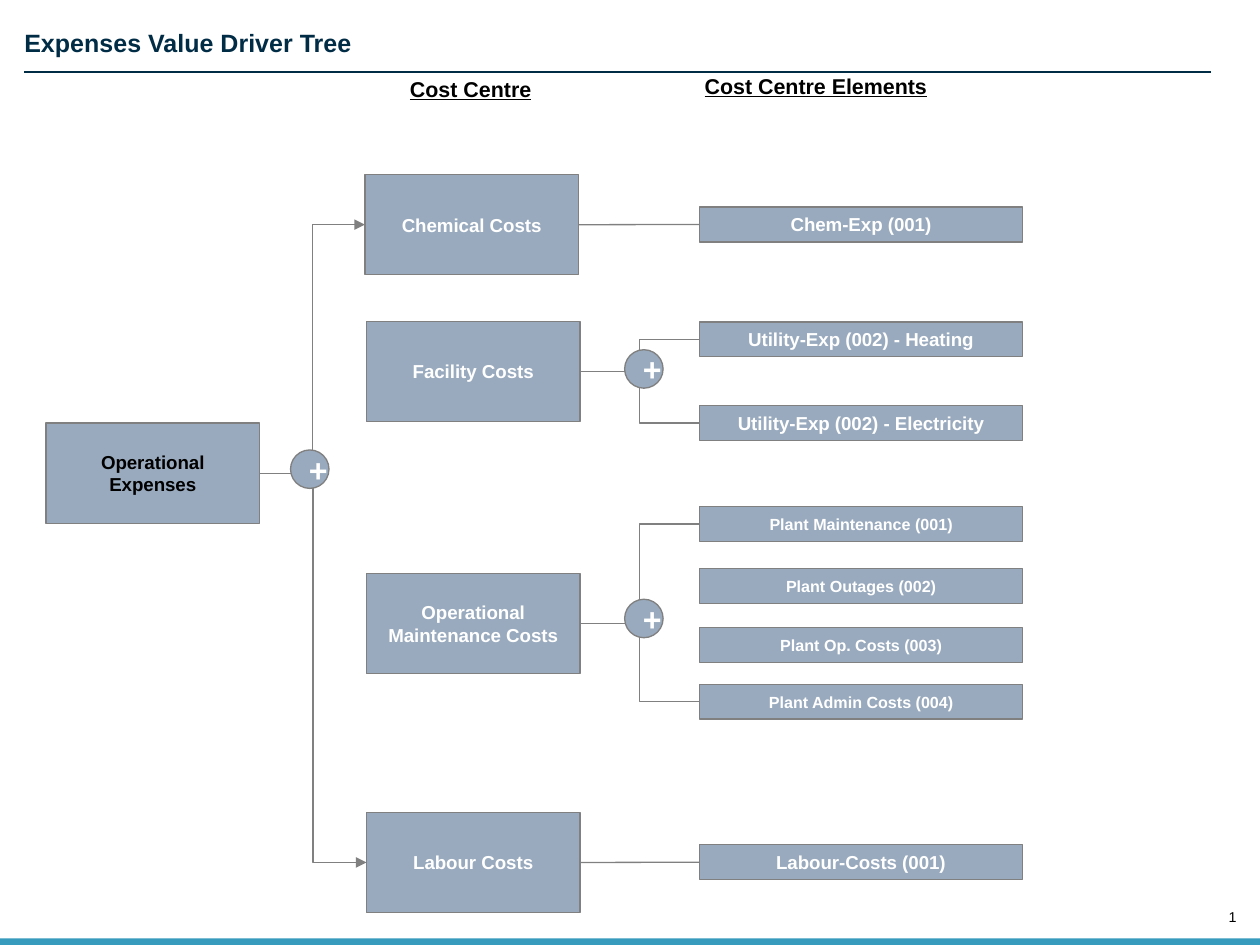
import pptx
import pptx.dml.color
import pptx.enum.shapes
import pptx.enum.text
import pptx.oxml
import pptx.oxml.ns
import pptx.util
from pptx.util import Cm, Pt

COLOURS = {"navy": "002C46", "box": "99AABE", "line": "808080",
           "bar": "379BBD", "white": "FFFFFF", "black": "000000"}
SHAPES = pptx.enum.shapes.MSO_SHAPE
CONNECTORS = pptx.enum.shapes.MSO_CONNECTOR
ALIGN = pptx.enum.text.PP_ALIGN
ANCHOR = pptx.enum.text.MSO_ANCHOR
LEFT_SITE, RIGHT_SITE = 1, 3

TITLE = "Expenses Value Driver Tree"
# text, left, top, width
HEADINGS = [("Cost Centre", 7.85, 1.37, 4.98),
            ("Cost Centre Elements", 13.67, 1.32, 5.56)]
ROOT = ("Operational Expenses", 0.91, 8.36)
# name, left, top, element text size, elements as (text, top)
COST_CENTRES = [
    ("Chemical Costs", 7.21, 3.45, 10.5, [("Chem-Exp (001)", 4.09)]),
    ("Facility Costs", 7.24, 6.35, 10.5,
     [("Utility-Exp (002) - Heating", 6.36),
      ("Utility-Exp (002) - Electricity", 8.01)]),
    ("Operational Maintenance Costs", 7.24, 11.33, 9,
     [("Plant Maintenance (001)", 10.01), ("Plant Outages (002)", 11.23),
      ("Plant Op. Costs (003)", 12.4), ("Plant Admin Costs (004)", 13.52)]),
    ("Labour Costs", 7.24, 16.05, 10.5, [("Labour-Costs (001)", 16.69)]),
]
PLUS_SIGNS = [(5.74, 8.89), (12.34, 6.91), (12.34, 11.84)]
BOX_SIZE = (4.22, 1.98)
ELEMENT_LEFT, ELEMENT_SIZE = 13.82, (6.38, 0.69)
PLUS_SIZE = (0.76, 0.76)


def rgb(name):
    """Return the named colour."""
    return pptx.dml.color.RGBColor.from_string(COLOURS[name])


def style_text(paragraph, size, colour, bold=True):
    """Set the font of a whole paragraph."""
    font = paragraph.font
    font.name, font.size, font.bold = "Arial", Pt(size), bold
    font.color.rgb = rgb(colour)


def clear_margins(frame):
    """Remove the inner margins of a text frame."""
    frame.margin_left = frame.margin_right = 0
    frame.margin_top = frame.margin_bottom = 0


def add_node(text, left, top, size, points=10.5, colour="white",
             kind=SHAPES.RECTANGLE):
    """Add a filled, outlined shape with centred text."""
    shape = slide.shapes.add_shape(kind, Cm(left), Cm(top), *map(Cm, size))
    shape.shadow.inherit = False
    shape.fill.solid()
    shape.fill.fore_color.rgb = rgb("box")
    shape.line.color.rgb = rgb("line")
    shape.line.width = Pt(0.75)
    shape.text_frame.text = text
    shape.text_frame.vertical_anchor = ANCHOR.MIDDLE
    paragraph = shape.text_frame.paragraphs[0]
    paragraph.alignment = ALIGN.CENTER
    style_text(paragraph, points, colour)
    return shape


def add_line(kind, colour, start=(0, 0), end=(0, 0)):
    """Add a thin connector without shadow."""
    line = slide.shapes.add_connector(kind, *map(Cm, start + end))
    line.line.color.rgb = rgb(colour)
    line.line.width = Pt(0.75)
    properties = line._element.spPr
    properties.append(properties.makeelement(pptx.oxml.ns.qn("a:effectLst")))
    return line


def join(parent, child, kind=CONNECTORS.ELBOW, arrow=False):
    """Connect the right side of parent to the left side of child."""
    line = add_line(kind, "line")
    line.begin_connect(parent, RIGHT_SITE)
    line.end_connect(child, LEFT_SITE)
    if arrow:
        outline = line.line._get_or_add_ln()
        outline.append(outline.makeelement(
            pptx.oxml.ns.qn("a:tailEnd"), {"type": "triangle"}))


def add_text(left, top, width, height):
    """Add a wrapping text box and return its frame."""
    box = slide.shapes.add_textbox(*map(Cm, (left, top, width, height)))
    box.text_frame.word_wrap = True
    return box.text_frame


def add_page_number():
    """Add the slide number field at the bottom right."""
    frame = add_text(23.43, 17.96, 1, 0.33)
    clear_margins(frame)
    frame.vertical_anchor = ANCHOR.BOTTOM
    paragraph = frame.paragraphs[0]
    paragraph.alignment = ALIGN.RIGHT
    style_text(paragraph, 8, "black", bold=False)
    paragraph._p.append(pptx.oxml.parse_xml(
        f'<a:fld {pptx.oxml.ns.nsdecls("a")} type="slidenum" '
        'id="{B6F15528-21DE-4FAA-801E-634DDDAF4B2B}">'
        '<a:rPr lang="en-GB" sz="800"/><a:t>1</a:t></a:fld>'))


presentation = pptx.Presentation()
presentation.slide_width, presentation.slide_height = Cm(24.89), Cm(18.67)
slide = presentation.slides.add_slide(presentation.slide_layouts[5])

title = slide.shapes.title
title.left, title.top, title.width, title.height = map(
    Cm, (0.48, 0.54, 24.28, 0.61))
title.text_frame.text = TITLE
title.text_frame.vertical_anchor = ANCHOR.MIDDLE
clear_margins(title.text_frame)
title.text_frame.paragraphs[0].alignment = ALIGN.LEFT
style_text(title.text_frame.paragraphs[0], 14, "navy")

bar = slide.shapes.add_shape(SHAPES.RECTANGLE, 0, Cm(18.54), Cm(24.89), Cm(0.13))
bar.shadow.inherit = False
bar.fill.solid()
bar.fill.fore_color.rgb = rgb("bar")
bar.line.fill.background()
add_page_number()
add_line(CONNECTORS.STRAIGHT, "navy", (0.48, 1.42), (23.93, 1.42))

for text, left, top, width in HEADINGS:
    frame = add_text(left, top, width, 0.76)
    frame.text = text
    style_text(frame.paragraphs[0], 12, "black")
    frame.paragraphs[0].font.underline = True

root = add_node(*ROOT, BOX_SIZE, colour="black")
centres = []
for name, left, top, points, elements in COST_CENTRES:
    centre = add_node(name, left, top, BOX_SIZE)
    centres.append(centre)
    nodes = [add_node(text, ELEMENT_LEFT, element_top, ELEMENT_SIZE, points)
             for text, element_top in elements]
    if len(nodes) == 1:
        join(centre, nodes[0], CONNECTORS.STRAIGHT)
    else:
        for node in (nodes[0], nodes[-1]):
            join(centre, node)

for centre in (centres[0], centres[-1]):
    join(root, centre, arrow=True)
for left, top in PLUS_SIGNS:
    add_node("+", left, top, PLUS_SIZE, 18, kind=SHAPES.OVAL)

presentation.save("out.pptx")
